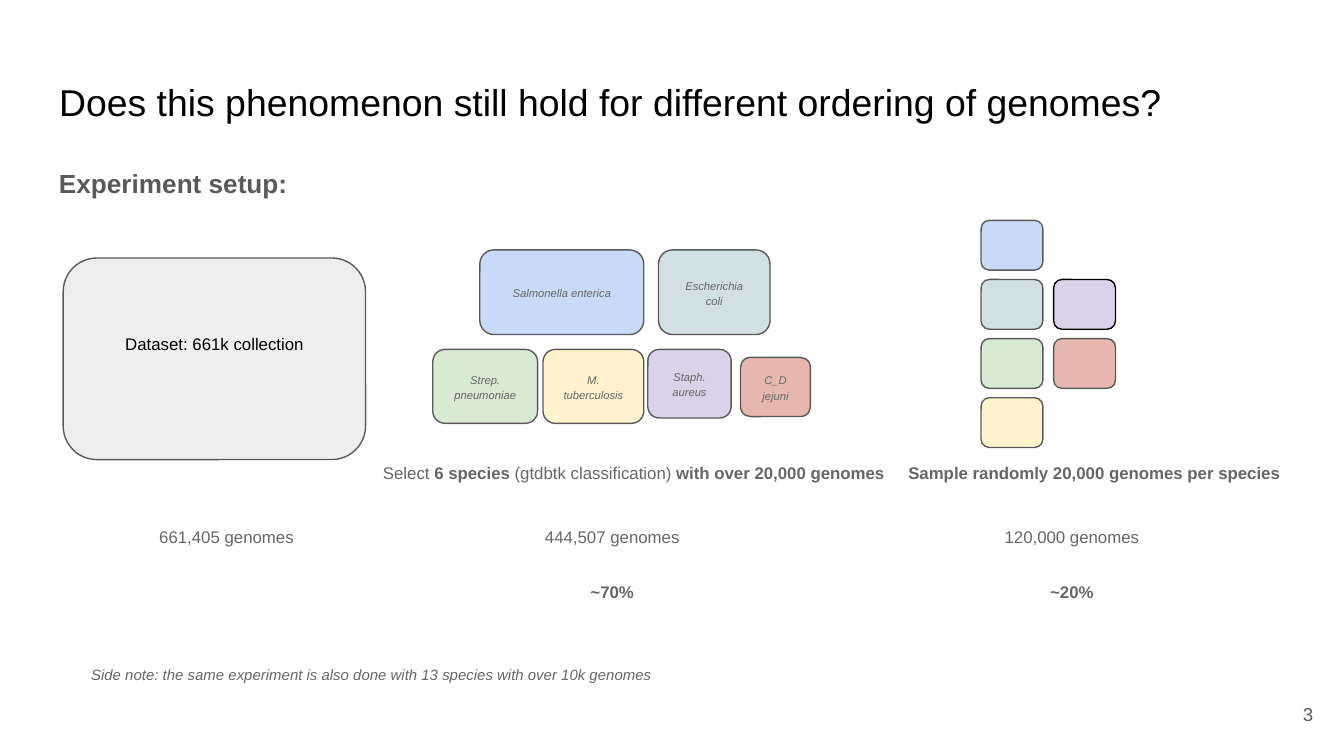
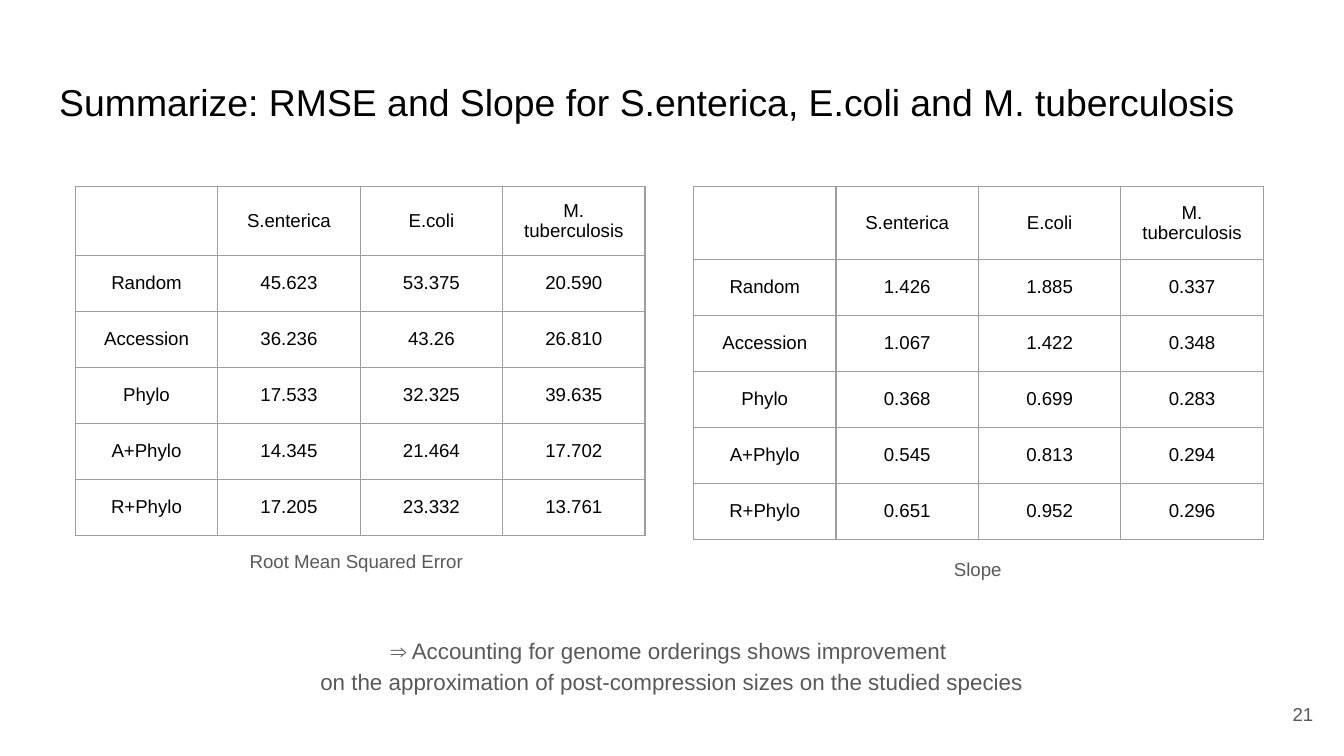
from pptx import Presentation
from pptx.dml.color import RGBColor
from pptx.enum.shapes import MSO_SHAPE
from pptx.enum.text import MSO_ANCHOR, MSO_AUTO_SIZE, PP_ALIGN
from pptx.oxml import parse_xml
from pptx.oxml.ns import nsdecls
from pptx.util import Inches, Pt

FONT = "Arial"
WIDE = Inches(10)
HIGH = WIDE * 9 // 16
ROW = Inches(5) // 12
BLACK, DARK, GREY, RULE = "000000", "595959", "666666", "9E9E9E"
BLUE, TEAL, GREEN = "C9DAF8", "D0E0E3", "D9EAD3"
CREAM, LILAC, ROSE = "FFF2CC", "D9D2E9", "E6B8AF"
LEFT, MID, RIGHT = PP_ALIGN.LEFT, PP_ALIGN.CENTER, PP_ALIGN.RIGHT
GROW, FIXED = MSO_AUTO_SIZE.SHAPE_TO_FIT_TEXT, MSO_AUTO_SIZE.NONE

TITLES = [
    ("Does this phenomenon still hold for different ordering of genomes?", 3),
    ("Summarize: RMSE and Slope for S.enterica, E.coli and M. tuberculosis", 21),
]
SPECIES = [
    ("Salmonella enterica", BLUE, (3.57, 1.86, 1.22, 0.63)),
    ("Escherichia coli", TEAL, (4.9, 1.86, 0.83, 0.63)),
    ("Strep. pneumoniae", GREEN, (3.22, 2.6, 0.78, 0.55)),
    ("M. tuberculosis", CREAM, (4.04, 2.6, 0.75, 0.55)),
    ("Staph. aureus", LILAC, (4.82, 2.6, 0.62, 0.51)),
    ("C_D jejuni", ROSE, (5.51, 2.66, 0.52, 0.44)),
]
SAMPLES = [
    (BLUE, 0, 0, DARK), (TEAL, 0, 1, DARK), (GREEN, 0, 2, DARK),
    (CREAM, 0, 3, DARK), (LILAC, 1, 1, BLACK), (ROSE, 1, 2, DARK),
]
SELECT = [
    ("Select ", ""), ("6 species ", "b"),
    ("(gtdbtk classification)", ""), (" with over 20,000 genomes", "b"),
]
COUNTS = [
    (0.81, "661,405 genomes", None),
    (3.68, "444,507 genomes", "~70%"),
    (7.1, "120,000 genomes", "~20%"),
]
HEAD = ["", "S.enterica", "E.coli", "M. tuberculosis"]
ORDERS = ["Random", "Accession", "Phylo", "A+Phylo", "R+Phylo"]
TABLES = [
    (0.56, 0.51, "Root Mean Squared Error", (1.76, 4.01, 1.83, 0.37), LEFT, [
        ("45.623", "53.375", "20.590"),
        ("36.236", "43.26", "26.810"),
        ("17.533", "32.325", "39.635"),
        ("14.345", "21.464", "17.702"),
        ("17.205", "23.332", "13.761"),
    ]),
    (5.16, 0.54, "Slope", (6.36, 4.07, 1.83, 0.37), MID, [
        ("1.426", "1.885", "0.337"),
        ("1.067", "1.422", "0.348"),
        ("0.368", "0.699", "0.283"),
        ("0.545", "0.813", "0.294"),
        ("0.651", "0.952", "0.296"),
    ]),
]
CLOSE = [
    "⇒ Accounting for genome orderings shows improvement ",
    "on the approximation of post-compression sizes on the studied species",
]


def color(code):
    return RGBColor.from_string(code)


def inches(at):
    return [Inches(n) for n in at]


def write(para, runs, size, tint, align=LEFT, space=None):
    para.alignment = align
    if space:
        para.line_spacing = space
    for text, style in runs:
        run = para.add_run()
        run.text = text
        font = run.font
        font.name, font.size = FONT, Pt(size)
        font.color.rgb = color(tint)
        font.bold, font.italic = "b" in style, "i" in style


def frame(shape, anchor=MSO_ANCHOR.TOP, fit=FIXED):
    body = shape.text_frame
    body.word_wrap = True
    body.auto_size = fit
    body.vertical_anchor = anchor
    body.margin_left = body.margin_right = Inches(0.1)
    body.margin_top = body.margin_bottom = Inches(0.1)
    return body


def label(shapes, at, text, size=9, tint=GREY, style="", align=MID,
          space=1.15, anchor=MSO_ANCHOR.TOP, fit=GROW):
    body = frame(shapes.add_textbox(*inches(at)), anchor, fit)
    runs = [(text, style)] if isinstance(text, str) else text
    write(body.paragraphs[0], runs, size, tint, align, space)
    return body


def card(shapes, at, fill, line=DARK, text=""):
    shape = shapes.add_shape(MSO_SHAPE.ROUNDED_RECTANGLE, *inches(at))
    shape.shadow.inherit = False
    shape.fill.solid()
    shape.fill.fore_color.rgb = color(fill)
    shape.line.color.rgb = color(line)
    shape.line.width = Pt(0.75)
    if text:
        body = frame(shape, MSO_ANCHOR.MIDDLE)
        write(body.paragraphs[0], [(text, "i")], 6, GREY, MID, 1.15)


def border(cell):
    props = cell._tc.get_or_add_tcPr()
    for side in ("lnL", "lnR", "lnT", "lnB"):
        props.append(parse_xml(
            f'<a:{side} {nsdecls("a")} w="{Pt(0.75)}"><a:solidFill>'
            f'<a:srgbClr val="{RULE}"/></a:solidFill></a:{side}>'))


def grid(shapes, left, top, head, rows):
    cells = [HEAD] + [[name, *row] for name, row in zip(ORDERS, rows)]
    at = inches((left, top, 1.06 * len(HEAD), head))
    at[3] += ROW * len(rows)
    table = shapes.add_table(len(cells), len(HEAD), *at).table
    table.first_row = table.horz_banding = False
    for col in table.columns:
        col.width = Inches(1.06)
    for y, row in enumerate(cells):
        table.rows[y].height = ROW if y else Inches(head)
        for x, text in enumerate(row):
            cell = table.cell(y, x)
            border(cell)
            cell.fill.background()
            cell.vertical_anchor = MSO_ANCHOR.MIDDLE
            cell.margin_left = cell.margin_right = Inches(0.1)
            cell.margin_top = cell.margin_bottom = Inches(0.1)
            if text:
                write(cell.text_frame.paragraphs[0], [(text, "")], 10, BLACK, MID)


def page(deck, title, number):
    shapes = deck.slides.add_slide(deck.slide_layouts[5]).shapes
    head = shapes.title
    head.left, head.top, head.width, head.height = inches((0.34, 0.49, 9.32, 0.63))
    write(frame(head).paragraphs[0], [(title, "")], 20, BLACK)
    label(shapes, (9.27, 5.1, 0.6, 0.43), str(number), 10, DARK, align=RIGHT,
          space=None, anchor=MSO_ANCHOR.MIDDLE, fit=FIXED)
    return shapes


def setup(shapes):
    label(shapes, (0.34, 1.11, 3.28, 0.44), "Experiment setup:", 14, DARK, "b", LEFT)
    data = shapes.add_group_shape().shapes
    card(data, (0.47, 1.92, 2.25, 1.5), "EEEEEE")
    label(data, (0.69, 2.41, 1.81, 0.35), "Dataset: 661k collection",
          tint=BLACK, space=None)
    kinds = shapes.add_group_shape().shapes
    for name, fill, at in SPECIES:
        card(kinds, at, fill, text=name)
    label(kinds, (2.65, 3.33, 4.13, 0.35), SELECT)
    picks = shapes.add_group_shape().shapes
    for fill, col, row, line in SAMPLES:
        card(picks, (7.3 + 0.54 * col, 1.64 + 0.44 * row, 0.46, 0.37), fill, line)
    label(picks, (6.66, 3.33, 3, 0.35),
          "Sample randomly 20,000 genomes per species", style="b", align=LEFT)
    for left, count, share in COUNTS:
        label(shapes, (left, 3.81, 1.75, 0.35), count)
        if share:
            label(shapes, (left, 4.22, 1.75, 0.35), share, style="b")
    label(shapes, (0.58, 4.86, 6.24, 0.34),
          "Side note: the same experiment is also done with 13 species with over 10k genomes",
          8, style="i", align=LEFT)


def summary(shapes):
    for left, head, name, at, align, rows in TABLES:
        grid(shapes, left, 1.39, head, rows)
        label(shapes, at, name, 10, DARK, align=align, space=None)
    body = label(shapes, (0.49, 4.61, 9.02, 0.64), CLOSE[0], 12, DARK)
    write(body.add_paragraph(), [(CLOSE[1], "")], 12, DARK, MID, 1.15)


def main():
    deck = Presentation()
    deck.slide_width, deck.slide_height = WIDE, HIGH
    for (title, number), build in zip(TITLES, (setup, summary)):
        build(page(deck, title, number))
    deck.save("out.pptx")


if __name__ == "__main__":
    main()
